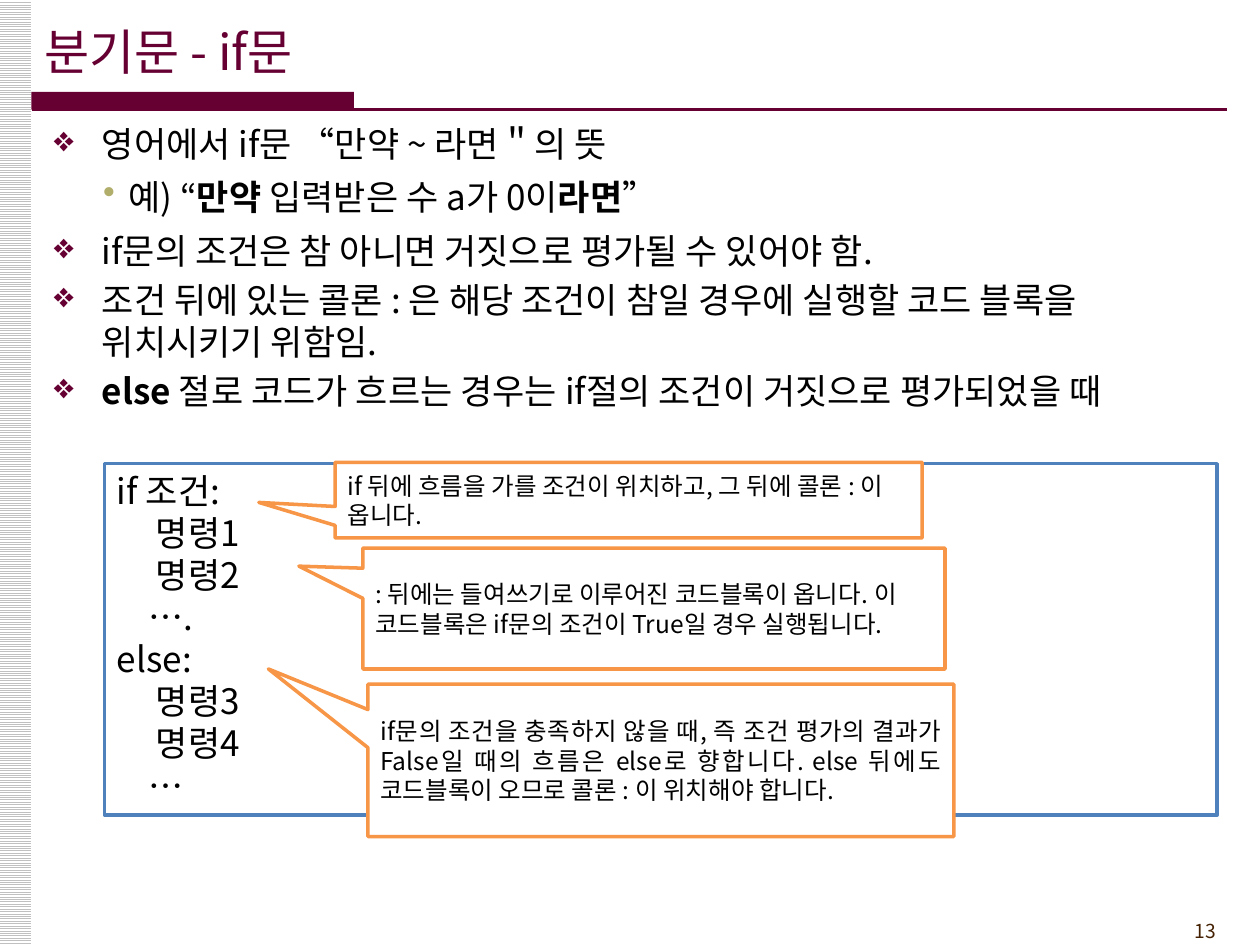
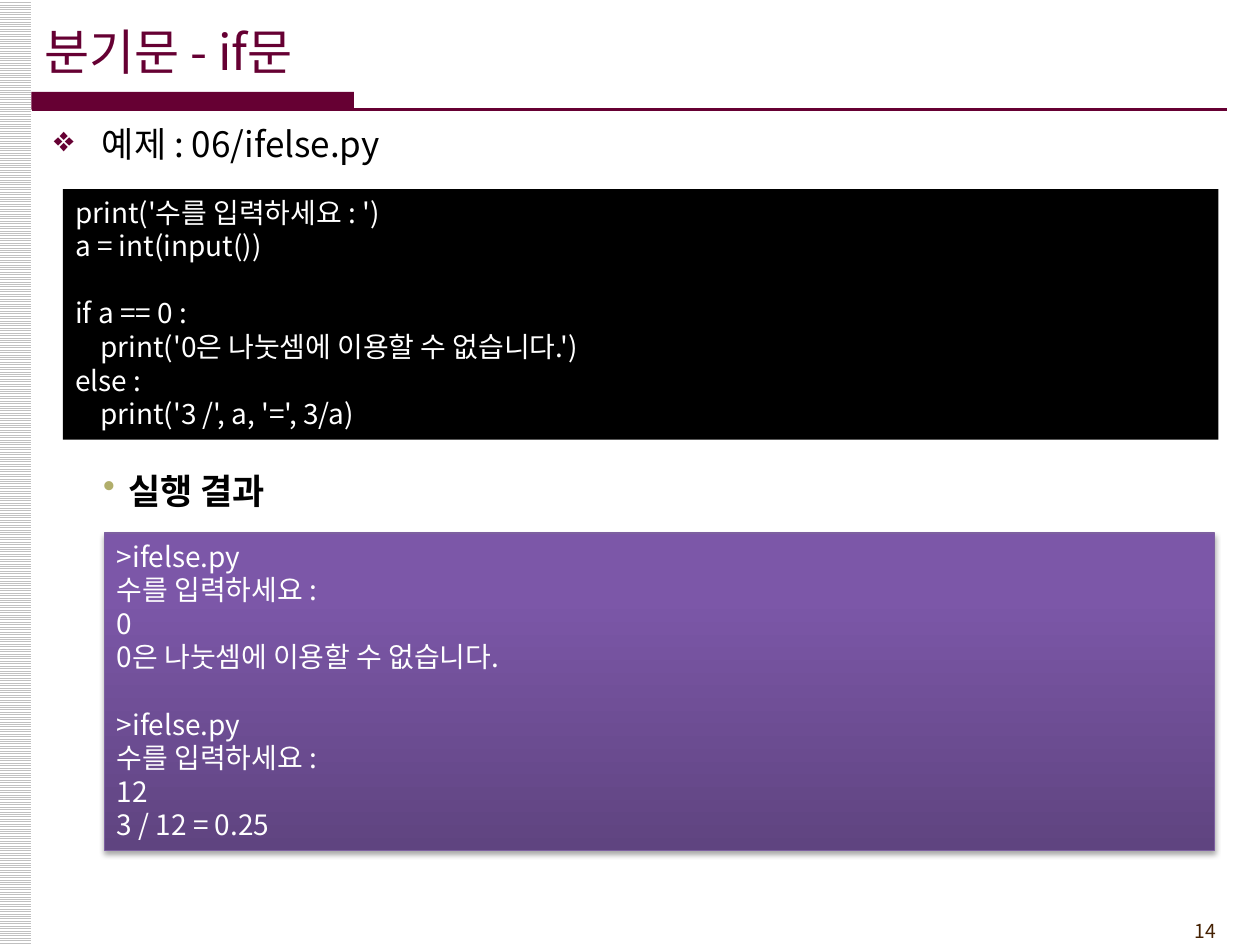
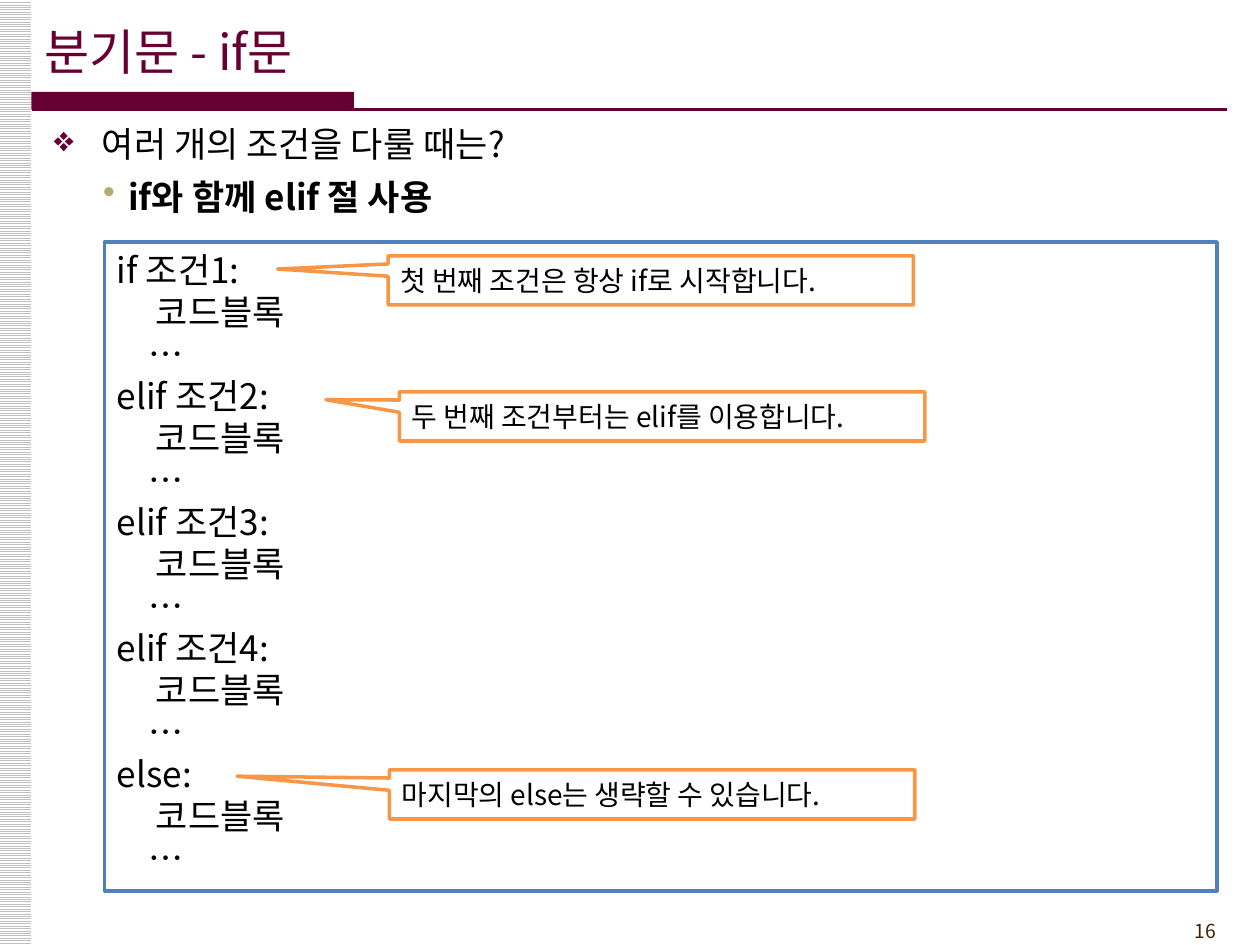
from dataclasses import dataclass

from lxml.etree import SubElement
from pptx import Presentation
from pptx.dml.color import RGBColor
from pptx.enum.dml import MSO_PATTERN
from pptx.enum.shapes import MSO_CONNECTOR, MSO_SHAPE
from pptx.enum.text import MSO_ANCHOR, MSO_AUTO_SIZE, PP_ALIGN
from pptx.oxml.ns import qn
from pptx.util import Inches, Pt


@dataclass(frozen=True)
class Theme:
    font: str = "Noto Sans CJK KR"
    # Colours
    accent: str = "660033"
    sub_bullet: str = "B1AE6B"
    page_number: str = "452103"
    stripe: str = "C0C0C0"
    black: str = "000000"
    white: str = "FFFFFF"
    syntax_line: str = "4F81BD"
    callout_line: str = "F79646"
    result_dark: str = "5F4480"
    result_light: str = "7C57A8"
    result_line: str = "7D60A0"
    # Type sizes in points
    title_size: int = 28
    body_size: int = 20
    code_size: int = 16
    note_size: int = 14
    number_size: int = 11
    line_height: float = 1.2


@dataclass(frozen=True)
class CodeLine:
    text: str
    indent: float = 0
    lines_before: int = 0


THEME = Theme()
TITLE = "분기문 - if문"
WORD_INDENT = 0.31
DOTS_INDENT = 0.25
PRINT_INDENT = 0.2


def color(value):
    return RGBColor.from_string(value)


def place(shape, left, top, width, height):
    shape.left, shape.top = Inches(left), Inches(top)
    shape.width, shape.height = Inches(width), Inches(height)


# Text

def format_paragraph(paragraph, size, text_color, align=PP_ALIGN.LEFT, leading=1):
    paragraph.alignment = align
    paragraph.line_spacing = Pt(size * THEME.line_height * leading)
    font = paragraph.font
    font.name, font.size = THEME.font, Pt(size)
    font.color.rgb = color(text_color)
    defaults = paragraph._p.pPr.find(qn("a:defRPr"))
    SubElement(defaults, qn("a:ea"), typeface=THEME.font)


def indent_paragraph(paragraph, left, first=0):
    properties = paragraph._p.get_or_add_pPr()
    properties.set("marL", str(Inches(left)))
    properties.set("indent", str(Inches(first)))


def add_bullet(paragraph, character, bullet_color):
    properties = paragraph._p.pPr
    bullet_fill = SubElement(properties, qn("a:buClr"))
    SubElement(bullet_fill, qn("a:srgbClr"), val=bullet_color)
    bullet = SubElement(properties, qn("a:buChar"), char=character)
    defaults = properties.find(qn("a:defRPr"))
    defaults.addprevious(bullet_fill)
    defaults.addprevious(bullet)


def prepare_frame(shape, anchor=MSO_ANCHOR.TOP):
    frame = shape.text_frame
    frame.word_wrap = True
    frame.auto_size = MSO_AUTO_SIZE.NONE
    frame.vertical_anchor = anchor
    return frame


def next_paragraph(frame, index):
    return frame.add_paragraph() if index else frame.paragraphs[0]


def add_text_box(slide, left, top, width, height):
    return slide.shapes.add_textbox(
        Inches(left), Inches(top), Inches(width), Inches(height))


def add_bullets(slide, items, top=0.92, height=6.25):
    """Items are (level, text); text between ** marks is bold."""
    frame = prepare_frame(add_text_box(slide, 0.33, top, 9.5, height))
    for index, (level, text) in enumerate(items):
        paragraph = next_paragraph(frame, index)
        for part, words in enumerate(text.split("**")):
            if words:
                run = paragraph.add_run()
                run.text = words
                if part % 2:
                    run.font.bold = True
        format_paragraph(paragraph, THEME.body_size, THEME.black,
                         leading=1.1 if level else 1)
        paragraph.space_before = Pt(THEME.body_size * 0.2)
        if level:
            paragraph.space_after = Pt(3)
            indent_paragraph(paragraph, 0.59, -0.2)
            add_bullet(paragraph, "•", THEME.sub_bullet)
        else:
            indent_paragraph(paragraph, 0.38, -0.38)
            add_bullet(paragraph, "❖", THEME.accent)


# Shapes

def add_box(slide, kind, bounds, fill=None, line=None, line_width=2):
    shape = slide.shapes.add_shape(kind, 0, 0, 0, 0)
    place(shape, *bounds)
    shape.shadow.inherit = False
    if fill:
        shape.fill.solid()
        shape.fill.fore_color.rgb = color(fill)
    if line:
        shape.line.color.rgb = color(line)
        shape.line.width = Pt(line_width)
    else:
        shape.line.fill.background()
    return shape


def write_code(shape, lines, size, text_color):
    frame = prepare_frame(shape)
    for index, line in enumerate(lines):
        paragraph = next_paragraph(frame, index)
        paragraph.text = line.text
        format_paragraph(paragraph, size, text_color, PP_ALIGN.JUSTIFY)
        indent_paragraph(paragraph, line.indent)
        if line.lines_before:
            paragraph.space_before = Pt(size * THEME.line_height * line.lines_before)


def add_syntax_box(slide, top, height, lines):
    shape = add_box(slide, MSO_SHAPE.RECTANGLE, (0.83, top, 8.83, height),
                    THEME.white, THEME.syntax_line)
    write_code(shape, lines, THEME.body_size, THEME.black)


def add_callout(slide, bounds, tip, text, size, align=PP_ALIGN.LEFT):
    shape = add_box(slide, MSO_SHAPE.RECTANGULAR_CALLOUT, bounds,
                    THEME.white, THEME.callout_line)
    shape.adjustments[0], shape.adjustments[1] = tip
    paragraph = prepare_frame(shape, MSO_ANCHOR.MIDDLE).paragraphs[0]
    paragraph.text = text
    format_paragraph(paragraph, size, THEME.black, align)


def add_result_box(slide, bounds, lines):
    shape = add_box(slide, MSO_SHAPE.RECTANGLE, bounds,
                    line=THEME.result_line, line_width=0.75)
    shape.fill.gradient()
    shape.fill.gradient_angle = 90
    dark, light = shape.fill.gradient_stops
    dark.color.rgb, dark.position = color(THEME.result_dark), 0
    light.color.rgb, light.position = color(THEME.result_light), 0.8
    # Soft shadow straight below
    effects = shape._element.spPr.find(qn("a:effectLst"))
    shadow = SubElement(effects, qn("a:outerShdw"), blurRad=str(Pt(3.1)),
                        dist=str(Pt(1.8)), dir="5400000", rotWithShape="0")
    shade = SubElement(shadow, qn("a:srgbClr"), val=THEME.black)
    SubElement(shade, qn("a:alpha"), val="35000")
    write_code(shape, lines, THEME.code_size, THEME.white)


# Shared slide frame

def add_slide(presentation, number):
    slide = presentation.slides.add_slide(presentation.slide_layouts[5])

    stripes = add_box(slide, MSO_SHAPE.RECTANGLE, (-0.01, 0, 0.26, 7.5))
    stripes.fill.patterned()
    stripes.fill.pattern = MSO_PATTERN.LIGHT_HORIZONTAL
    stripes.fill.fore_color.rgb = color(THEME.stripe)
    stripes.fill.back_color.rgb = color(THEME.white)

    add_box(slide, MSO_SHAPE.RECTANGLE, (0.25, 0.73, 2.56, 0.14), THEME.accent)
    rule = slide.shapes.add_connector(
        MSO_CONNECTOR.STRAIGHT, Inches(0.25), Inches(0.87), Inches(9.74), Inches(0.87))
    rule.line.color.rgb = color(THEME.accent)
    rule.line.width = Pt(1.5)
    SubElement(rule._element.spPr, qn("a:effectLst"))

    title = slide.shapes.title
    place(title, 0.25, 0.09, 9.34, 0.63)
    paragraph = prepare_frame(title, MSO_ANCHOR.MIDDLE).paragraphs[0]
    paragraph.text = TITLE
    format_paragraph(paragraph, THEME.title_size, THEME.accent)

    number_box = add_text_box(slide, 8.92, 7.25, 0.83, 0.29)
    paragraph = prepare_frame(number_box).paragraphs[0]
    paragraph.text = str(number)
    format_paragraph(paragraph, THEME.number_size, THEME.page_number, PP_ALIGN.RIGHT)
    return slide


# Slides

def build_if_else(presentation):
    slide = add_slide(presentation, 13)
    add_bullets(slide, [
        (0, "영어에서 if문 “만약 ~ 라면＂의 뜻"),
        (1, "예) “**만약 **입력받은 수 a가 0이**라면**”"),
        (0, "if문의 조건은 참 아니면 거짓으로 평가될 수 있어야 함."),
        (0, "조건 뒤에 있는 콜론 : 은 해당 조건이 참일 경우에 실행할 코드 블록을 위치시키기 위함임."),
        (0, "**else **절로 코드가 흐르는 경우는 if절의 조건이 거짓으로 평가되었을 때"),
    ])
    add_syntax_box(slide, 3.68, 2.79, [
        CodeLine("if 조건:"),
        CodeLine("명령1", WORD_INDENT),
        CodeLine("명령2", WORD_INDENT),
        CodeLine("….", DOTS_INDENT),
        CodeLine("else:"),
        CodeLine("명령3", WORD_INDENT),
        CodeLine("명령4", WORD_INDENT),
        CodeLine("…", DOTS_INDENT),
    ])
    add_callout(slide, (2.66, 3.67, 4.66, 0.6), (-0.63, 0.03),
                "if 뒤에 흐름을 가를 조건이 위치하고, 그 뒤에 콜론 : 이 옵니다.",
                THEME.note_size)
    add_callout(slide, (2.88, 4.35, 4.62, 0.96), (-0.61, -0.35),
                ": 뒤에는 들여쓰기로 이루어진 코드블록이 옵니다. "
                "이 코드블록은 if문의 조건이 True일 경우 실행됩니다.",
                THEME.note_size)
    add_callout(slide, (2.92, 5.43, 4.65, 1.21), (-0.67, -0.6),
                "if문의 조건을 충족하지 않을 때, 즉 조건 평가의 결과가 False일 때의 흐름은 "
                "else로 향합니다. else 뒤에도 코드블록이 오므로 콜론 : 이 위치해야 합니다.",
                THEME.note_size, PP_ALIGN.JUSTIFY)


def build_example(presentation):
    slide = add_slide(presentation, 14)
    add_bullets(slide, [(0, "예제 : 06/ifelse.py")], height=0.5)
    source = add_box(slide, MSO_SHAPE.RECTANGLE, (0.5, 1.5, 9.17, 1.99), THEME.black)
    write_code(source, [
        CodeLine("print('수를 입력하세요 : ')"),
        CodeLine("a = int(input())"),
        CodeLine("if a == 0 :", lines_before=1),
        CodeLine("print('0은 나눗셈에 이용할 수 없습니다.')", PRINT_INDENT),
        CodeLine("else :"),
        CodeLine("print('3 /', a, '=', 3/a)", PRINT_INDENT),
    ], THEME.code_size, THEME.white)
    add_bullets(slide, [(1, "**실행 결과**")], top=3.64, height=0.5)
    add_result_box(slide, (0.83, 4.23, 8.81, 2.52), [
        CodeLine(">ifelse.py"),
        CodeLine("수를 입력하세요 :"),
        CodeLine("0"),
        CodeLine("0은 나눗셈에 이용할 수 없습니다."),
        CodeLine(">ifelse.py", lines_before=1),
        CodeLine("수를 입력하세요 :"),
        CodeLine("12"),
        CodeLine("3 / 12 = 0.25"),
    ])


def build_elif(presentation):
    slide = add_slide(presentation, 16)
    add_bullets(slide, [
        (0, "여러 개의 조건을 다룰 때는?"),
        (1, "**if와 함께 elif 절 사용**"),
    ], height=1)
    lines = []
    for clause in ("if 조건1:", "elif 조건2:", "elif 조건3:", "elif 조건4:", "else:"):
        lines += [CodeLine(clause), CodeLine("코드블록", WORD_INDENT),
                  CodeLine("…", DOTS_INDENT)]
    add_syntax_box(slide, 1.92, 5.15, lines)
    for left, top, tip, text in (
        (3.08, 2.03, (-0.71, -0.23), "첫 번째 조건은 항상 if로 시작합니다."),
        (3.17, 3.11, (-0.64, -0.34), "두 번째 조건부터는 elif를 이용합니다."),
        (3.09, 6.11, (-0.79, -0.37), "마지막의 else는 생략할 수 있습니다."),
    ):
        add_callout(slide, (left, top, 4.17, 0.39), tip, text, THEME.code_size)


def main():
    presentation = Presentation()
    presentation.slide_width, presentation.slide_height = Inches(10), Inches(7.5)
    build_if_else(presentation)
    build_example(presentation)
    build_elif(presentation)
    presentation.save("out.pptx")


if __name__ == "__main__":
    main()
